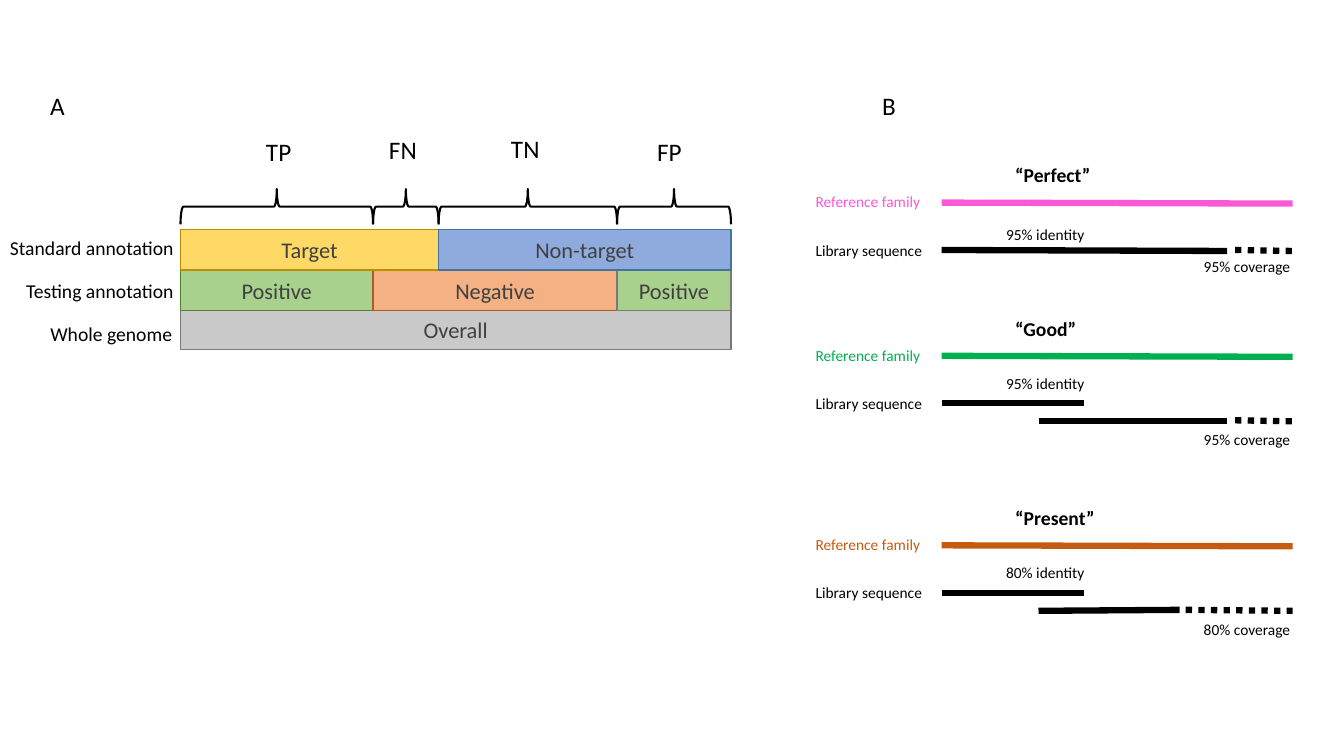
from pptx import Presentation
from pptx.util import Inches, Pt
from pptx.dml.color import RGBColor
from pptx.enum.dml import MSO_LINE as Dash
from pptx.enum.shapes import MSO_SHAPE as Shape, MSO_CONNECTOR as Conn
from pptx.enum.text import PP_ALIGN as Align, MSO_ANCHOR as Anchor
from pptx.oxml.ns import qn
from lxml import etree

rgb = RGBColor.from_string
deck = Presentation()
deck.slide_width, deck.slide_height = Inches(13.33), Inches(7.5)
slide = deck.slides.add_slide(deck.slide_layouts[6])
shapes = slide.shapes


def text(box, words, size, color="000000", bold=False):
    """Write one line of text into a box or shape."""
    frame = box.text_frame
    frame.word_wrap = True
    par = frame.paragraphs[0]
    par.text = words
    style = {"name": "Calibri", "size": Pt(size), "bold": bold}
    for key, value in style.items():
        setattr(par.font, key, value)
    par.font.color.rgb = rgb(color)


def stroke(x1, y1, x2, y2, color="000000", dash=None):
    """Draw one thick sequence line."""
    bar = shapes.add_connector(Conn.STRAIGHT, Inches(x1), Inches(y1), Inches(x2), Inches(y2))
    style = {"width": Pt(4.5), "dash_style": dash}
    for key, value in style.items():
        setattr(bar.line, key, value)
    bar.line.color.rgb = rgb(color)
    etree.SubElement(bar._element.spPr, qn("a:effectLst"))


# Panel A: stacked annotation bars
start, fn, split, fp, end = 1.79, 3.7, 4.35, 6.12, 7.25
tall = 0.4
bars = [
    ("Overall", start, end, 3.07, "C9C9C9", "7A7A7A"),
    ("Positive", start, fn, 2.68, "A9D18E", "538035"),
    ("Negative", fn, fp, 2.68, "F4B183", "AF5C24"),
    ("Positive", fp, end, 2.68, "A9D18E", "7A7A7A"),
    ("Target", start, split, 2.28, "FFD966", "BD8E00"),
    ("Non-target", split, end, 2.28, "8FAADC", "43739E"),
]
for words, left, right, top, fill, edge in bars:
    bar = shapes.add_shape(Shape.RECTANGLE, Inches(left), Inches(top),
                           Inches(right - left), Inches(tall))
    bar.shadow.inherit = False
    bar.fill.solid()
    bar.fill.fore_color.rgb = rgb(fill)
    bar.line.color.rgb = rgb(edge)
    bar.line.width = Pt(1)
    text(bar, words, 16, "404040")
    bar.text_frame.vertical_anchor = Anchor.MIDDLE
    bar.text_frame.paragraphs[0].alignment = Align.CENTER

# Braces above the bars, turned to point up
deep, mid = 0.35, 2.05
edges = [start, fn, split, fp, end]
for left, right in zip(edges, edges[1:]):
    span = right - left
    brace = shapes.add_shape(Shape.LEFT_BRACE, Inches((left + right - deep) / 2),
                             Inches(mid - span / 2), Inches(deep), Inches(span))
    brace.rotation = 90
    brace.shadow.inherit = False
    brace.fill.background()
    brace.line.color.rgb = rgb("000000")
    brace.line.width = Pt(1.5)

# Row names, brace names and panel letters
labels = [
    ("Standard annotation", 0, 2.29, 2.4, 0.34, 14),
    ("Testing annotation", 0.16, 2.72, 2.14, 0.34, 14),
    ("Whole genome", 0.4, 3.14, 1.81, 0.34, 14),
    ("TP", 2.54, 1.3, 0.53, 0.4, 18),
    ("FN", 3.76, 1.28, 0.53, 0.4, 18),
    ("TN", 4.97, 1.27, 0.53, 0.4, 18),
    ("FP", 6.42, 1.3, 0.53, 0.4, 18),
    ("A", 0.4, 0.85, 0.53, 0.4, 18),
    ("B", 8.65, 0.85, 0.53, 0.4, 18),
]
for words, left, top, wide, high, size in labels:
    box = shapes.add_textbox(Inches(left), Inches(top), Inches(wide), Inches(high))
    text(box, words, size)

# Panel B: three match grades; solid and dotted runs are offsets from the top line
near, far = 9.34, 12.82
grades = [
    ("“Perfect”", 2.01, "F959D7", "95%", 0.17, 0.49,
     [(near, 0.47, 12.17, 0.48)], (12.25, 0.47)),
    ("“Good”", 3.53, "00B050", "95%", 0.13, 0.69,
     [(near, 0.47, 10.75, 0.47), (10.3, 0.65, 12.17, 0.65)], (12.25, 0.64)),
    ("“Present”", 5.41, "C55A11", "80%", 0.13, 0.69,
     [(near, 0.47, 10.75, 0.47), (10.3, 0.65, 11.7, 0.64)], (11.76, 0.64)),
]
for name, top, color, rate, same, cover, runs, dots in grades:
    stroke(near, top, far, top + 0.01, color)
    for x1, y1, x2, y2 in runs:
        stroke(x1, top + y1, x2, top + y2)
    x, y = dots
    stroke(x, top + y, far, top + y + 0.01, dash=Dash.ROUND_DOT)
    notes = [
        ("Reference family", 7.99, -0.15, 1.29, 0.29, 11, color, False),
        ("Library sequence", 7.99, 0.33, 1.29, 0.29, 11, "000000", False),
        (f"{rate} identity", 9.88, same, 0.98, 0.29, 11, "000000", False),
        (f"{rate} coverage", 11.84, cover, 1.11, 0.29, 11, "000000", False),
        (name, 9.97, -0.44, 1.11, 0.34, 14, "000000", True),
    ]
    for words, left, drop, wide, high, size, ink, bold in notes:
        box = shapes.add_textbox(Inches(left), Inches(top + drop), Inches(wide), Inches(high))
        text(box, words, size, ink, bold)

deck.save("out.pptx")
